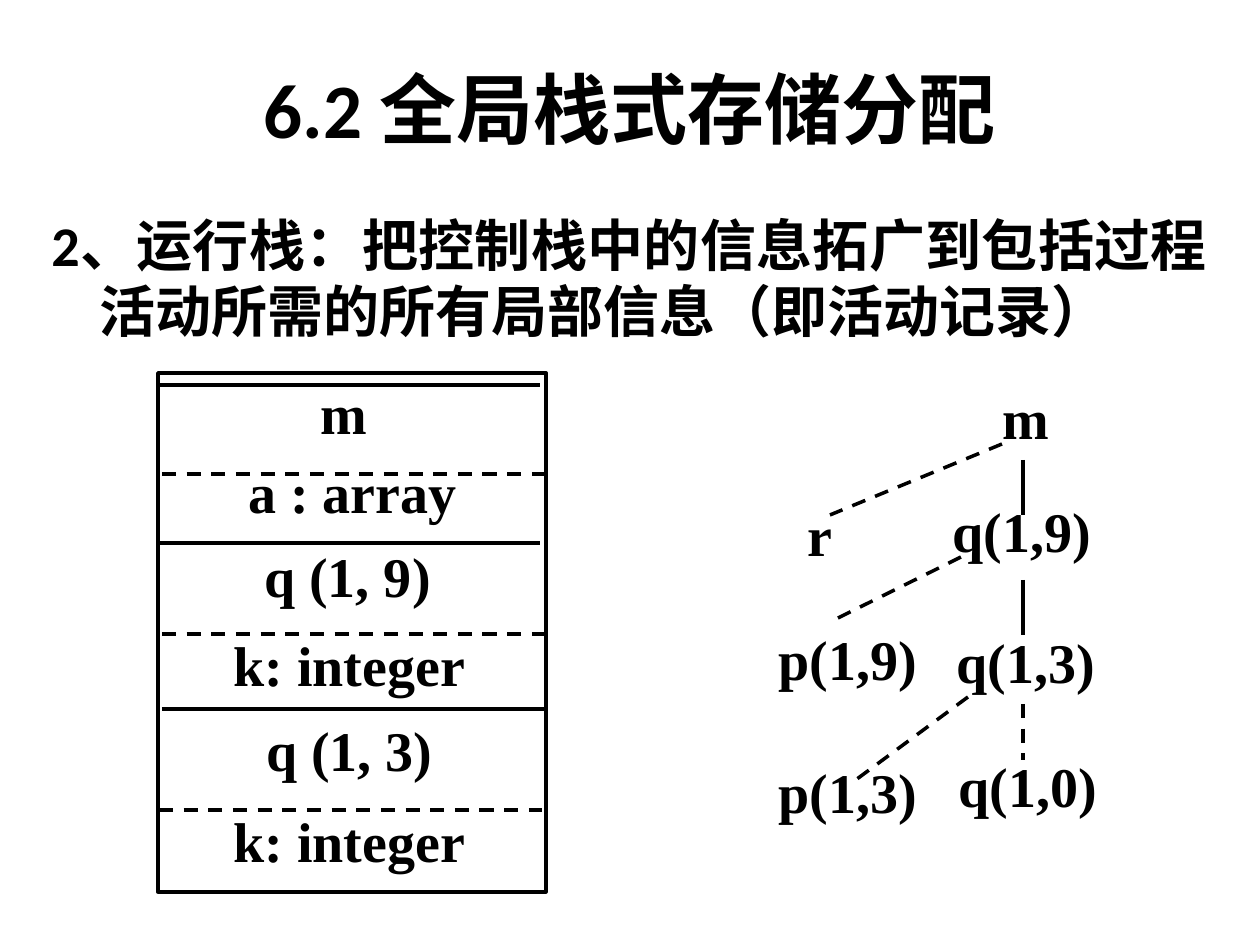
import pptx
import pptx.util
import pptx.dml.color
import pptx.enum.dml
import pptx.enum.shapes
import pptx.enum.text
import pptx.oxml.ns
import lxml.etree

PX = 914400 / 126
BLACK = pptx.dml.color.RGBColor(0, 0, 0)
WHITE = pptx.dml.color.RGBColor(255, 255, 255)
ALIGN = pptx.enum.text.PP_ALIGN
ANCHOR = pptx.enum.text.MSO_ANCHOR
CJK = "Noto Sans CJK SC"
SERIF = "Times New Roman"


def px(length):
    return round(length * PX)


def add_text(slide, box, *pieces, size=32, align=ALIGN.JUSTIFY,
             anchor=ANCHOR.TOP, top_inset=6, hanging=0, line_height=None):
    label = slide.shapes.add_textbox(*map(px, box))
    frame = label.text_frame
    frame.word_wrap = True
    frame.vertical_anchor = anchor
    frame.margin_top = px(top_inset)
    paragraph = frame.paragraphs[0]
    paragraph.alignment = align
    if line_height:
        paragraph.line_spacing = pptx.util.Pt(line_height)
    if hanging:
        properties = paragraph._p.get_or_add_pPr()
        properties.set("marL", str(px(hanging)))
        properties.set("indent", str(-px(hanging)))
    for text, font in pieces:
        run = paragraph.add_run()
        run.text = text
        run.font.name = font
        run.font.size = pptx.util.Pt(size)
        run.font.bold = True
        run.font.color.rgb = BLACK
        east_asian = lxml.etree.SubElement(
            run._r.get_or_add_rPr(), pptx.oxml.ns.qn("a:ea"))
        east_asian.set("typeface", CJK)


def add_line(slide, x1, y1, x2, y2, dashed=False):
    line = slide.shapes.add_connector(
        pptx.enum.shapes.MSO_CONNECTOR.STRAIGHT, *map(px, (x1, y1, x2, y2)))
    line.line.color.rgb = BLACK
    line.line.width = pptx.util.Pt(2)
    if dashed:
        line.line.dash_style = pptx.enum.dml.MSO_LINE.DASH
    lxml.etree.SubElement(line._element.spPr, pptx.oxml.ns.qn("a:effectLst"))


def add_heading(slide, box):
    add_text(slide, box, ("6.2 全局栈式存储分配", "Calibri"),
             size=44, align=ALIGN.CENTER, anchor=ANCHOR.MIDDLE)


def add_definition(slide, box):
    add_text(slide, box, ("2、运行栈：", "Calibri"),
             ("把控制栈中的信息拓广到包括过程活动所需的所有局部信息（即活动记录）", CJK),
             hanging=48, line_height=38)


def add_stack(slide, box):
    left, top, width, height = box
    frame = slide.shapes.add_shape(
        pptx.enum.shapes.MSO_SHAPE.RECTANGLE, *map(px, box))
    frame.shadow.inherit = False
    frame.fill.background()
    frame.line.color.rgb = BLACK
    frame.line.width = pptx.util.Pt(2)

    entries = [("m", 1, -5), ("a : array", 10, 73), ("q (1, 9)", 5, 157),
               ("k: integer", 7, 246), ("q (1, 3)", 7, 331),
               ("k: integer", 7, 422)]
    for text, x, y in entries:
        add_text(slide, (left + x, top + y, 369, 97), (text, SERIF),
                 align=ALIGN.CENTER, top_inset=11)

    separators = [(-1, 12, False), (4, 101, True), (-1, 170, False),
                  (4, 261, True), (4, 336, False), (1, 437, True)]
    for x, y, dashed in separators:
        add_line(slide, left + x, top + y, left + x + 383, top + y, dashed)


def add_activation_tree(slide, box):
    left, top, width, height = box
    nodes = [("m", 224, 0), ("r", 29, 117), ("q(1,9)", 174, 113),
             ("p(1,9)", 0, 241), ("q(1,3)", 178, 244),
             ("p(1,3)", 0, 374), ("q(1,0)", 180, 368)]
    for text, x, y in nodes:
        add_text(slide, (left + x, top + y, 178, 98), (text, SERIF))

    edges = [(257, 82, 257, 137, False), (236, 66, 64, 137, True),
             (257, 202, 257, 257, False), (195, 179, 64, 244, True),
             (257, 326, 257, 382, True), (202, 319, 91, 401, True)]
    for x1, y1, x2, y2, dashed in edges:
        add_line(slide, left + x1, top + y1, left + x2, top + y2, dashed)


def main():
    deck = pptx.Presentation()
    deck.slide_width = px(1260)
    deck.slide_height = px(945)
    slide = deck.slides.add_slide(deck.slide_layouts[6])
    slide.background.fill.solid()
    slide.background.fill.fore_color.rgb = WHITE
    add_heading(slide, (21, 29, 1218, 158))
    add_definition(slide, (39, 205, 1181, 687))
    add_stack(slide, (158, 373, 388, 519))
    add_activation_tree(slide, (766, 378, 358, 472))
    deck.save("out.pptx")


if __name__ == "__main__":
    main()
